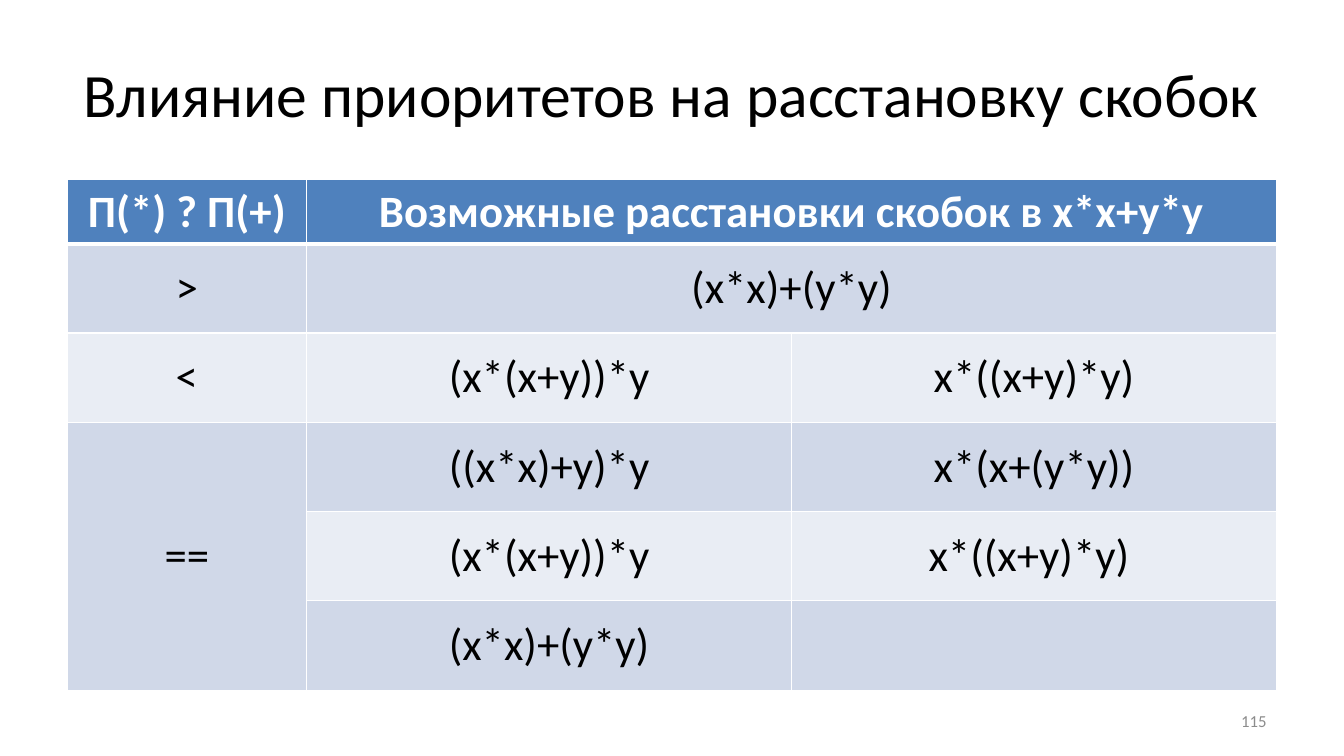
from lxml import etree
from pptx import Presentation
from pptx.dml.color import RGBColor
from pptx.enum.text import MSO_ANCHOR, PP_ALIGN
from pptx.oxml.ns import qn
from pptx.util import Cm, Pt

MIDDLE = MSO_ANCHOR.MIDDLE
CENTER, RIGHT = PP_ALIGN.CENTER, PP_ALIGN.RIGHT

# Content
TITLE = "Влияние приоритетов на расстановку скобок"
PAGE_NUMBER = "115"
PRIORITY_ROWS = [
    ("П(*) ? П(+)", "Возможные расстановки скобок в х*х+у*у", ""),
    (">", "(х*х)+(у*у)", ""),
    ("<", "(х*(х+у))*у", "х*((х+у)*у)"),
    ("==", "((х*х)+у)*у", "х*(х+(у*у))"),
    ("", "(х*(х+у))*у", "х*((х+у)*у) "),
    ("", "(х*х)+(у*у)", ""),
]
MERGES = [((0, 1), (0, 2)), ((1, 1), (1, 2)), ((3, 0), (5, 0))]

# Format
COLORS = {"header": "4F81BD", "odd": "D0D8E8", "even": "E9EDF4",
          "white": "FFFFFF", "black": "000000", "gray": "8C8C8C"}
TITLE_FONT = {"name": "Calibri", "size": Pt(44), "bold": False}
TABLE_FONT = {"name": "Calibri", "size": Pt(32), "bold": False}
HEADER_FONT = {**TABLE_FONT, "bold": True}
NUMBER_FONT = {"name": "Calibri", "size": Pt(12), "bold": False}

# Layout in centimetres
LEFT, WIDTH = 1.69, 30.48
TABLE_TOP = 4.53
COLUMN_WIDTHS = [6.04, 12.22, 12.22]
ROW_HEIGHTS = [1.61] + [2.25] * 5


def write(paragraph, text, align, font_format, color):
    paragraph.alignment = align
    run = paragraph.add_run()
    run.text = text
    for key, value in font_format.items():
        setattr(run.font, key, value)
    run.font.color.rgb = RGBColor.from_string(COLORS[color])


def add_text(slide, box, text, align, font_format, color):
    frame = slide.shapes.add_textbox(*map(Cm, box)).text_frame
    frame.word_wrap = True
    frame.vertical_anchor = MIDDLE
    write(frame.paragraphs[0], text, align, font_format, color)


def set_borders(cell, widths):
    properties = cell._tc.get_or_add_tcPr()
    for position, (side, points) in enumerate(widths.items()):
        line = etree.Element(qn(f"a:ln{side}"), w=str(Pt(points)))
        fill = etree.SubElement(line, qn("a:solidFill"))
        etree.SubElement(fill, qn("a:srgbClr"), val=COLORS["white"])
        properties.insert(position, line)


def add_priority_table(slide):
    table = slide.shapes.add_table(
        len(ROW_HEIGHTS), len(COLUMN_WIDTHS), Cm(LEFT), Cm(TABLE_TOP),
        Cm(WIDTH), Cm(sum(ROW_HEIGHTS))).table
    for column, width in zip(table.columns, COLUMN_WIDTHS):
        column.width = Cm(width)
    for row, height in zip(table.rows, ROW_HEIGHTS):
        row.height = Cm(height)
    for first, last in MERGES:
        table.cell(*first).merge(table.cell(*last))

    for r, texts in enumerate(PRIORITY_ROWS):
        band = "header" if r == 0 else "odd" if r % 2 else "even"
        font_format = TABLE_FONT if r else HEADER_FONT
        borders = {"L": 1, "R": 1, "T": 3 if r == 1 else 1,
                   "B": 3 if r == 0 else 1}
        for c, text in enumerate(texts):
            cell = table.cell(r, c)
            cell.vertical_anchor = MIDDLE
            cell.fill.solid()
            cell.fill.fore_color.rgb = RGBColor.from_string(COLORS[band])
            set_borders(cell, borders)
            if text:
                write(cell.text_frame.paragraphs[0], text, CENTER,
                      font_format, "black" if r else "white")


def main():
    prs = Presentation()
    prs.slide_width, prs.slide_height = Cm(33.87), Cm(19.05)
    slide = prs.slides.add_slide(prs.slide_layouts[6])

    # Title, table, page number
    add_text(slide, (LEFT, 0.76, WIDTH, 3.18), TITLE, CENTER,
             TITLE_FONT, "black")
    add_priority_table(slide)
    add_text(slide, (24.27, 17.66, 7.9, 1.01), PAGE_NUMBER, RIGHT,
             NUMBER_FONT, "gray")
    prs.save("out.pptx")


if __name__ == "__main__":
    main()
